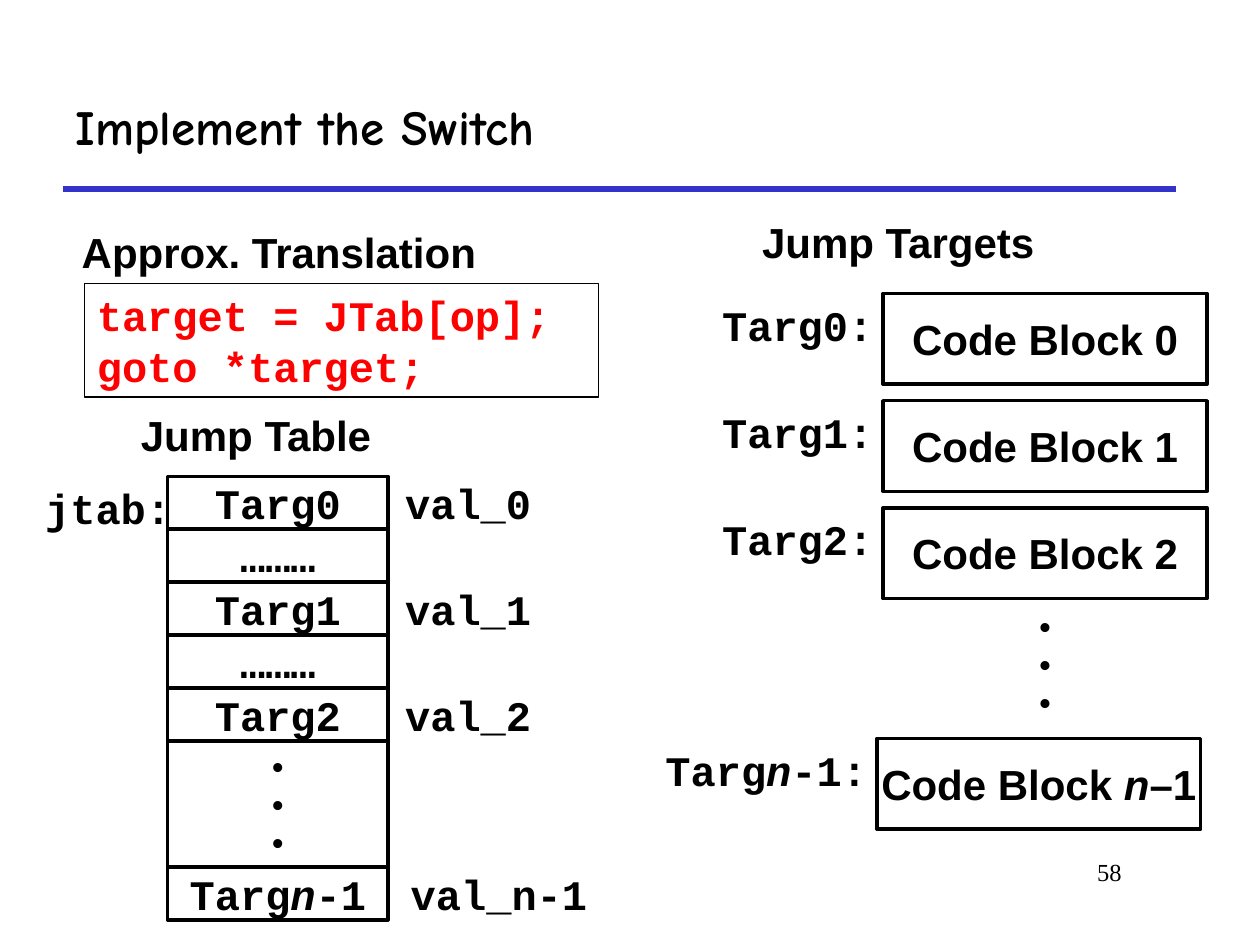
from dataclasses import dataclass

from lxml import etree
from pptx import Presentation
from pptx import util as u
from pptx.dml.color import RGBColor
from pptx.enum import shapes, text
from pptx.oxml import ns


@dataclass(frozen=True)
class Theme:
    ink: RGBColor = RGBColor(0, 0, 0)
    paper: RGBColor = RGBColor(255, 255, 255)
    rule: RGBColor = RGBColor(0x33, 0x33, 0xCC)
    code: RGBColor = RGBColor(255, 0, 0)
    title_size: int = 28
    body_size: int = 24
    dot_size: int = 18
    number_size: int = 14
    title_font: str = "Comic Neue"
    sans: str = "Arial"
    mono: str = "Courier New"
    serif: str = "Times New Roman"


theme = Theme()
LEFT, CENTER, RIGHT = text.PP_ALIGN.LEFT, text.PP_ALIGN.CENTER, text.PP_ALIGN.RIGHT
DOTS = [("•",)] * 3


def write(shape, lines, align=LEFT, wrap=False, anchor=text.MSO_ANCHOR.TOP, **font):
    """Fill a shape with lines, each a tuple of runs whose odd items are italic."""
    frame = shape.text_frame
    frame.word_wrap = wrap
    frame.vertical_anchor = anchor
    style = {"name": theme.mono, "size": theme.body_size, "bold": True} | font
    color = style.pop("color", theme.ink)
    style["size"] = u.Pt(style["size"])
    for index, runs in enumerate(lines):
        paragraph = frame.add_paragraph() if index else frame.paragraphs[0]
        paragraph.alignment = align
        for position, words in enumerate(runs):
            run = paragraph.add_run()
            run.text = words
            for name, value in style.items():
                setattr(run.font, name, value)
            run.font.italic = position % 2 == 1
            run.font.color.rgb = color


def add_box(left, top, width, height, lines, line_width=2, fill=True, **format_values):
    box = slide.shapes.add_shape(
        shapes.MSO_SHAPE.RECTANGLE,
        u.Inches(left), u.Inches(top), u.Inches(width), u.Inches(height))
    box.shadow.inherit = False
    if fill:
        box.fill.solid()
        box.fill.fore_color.rgb = theme.paper
    else:
        box.fill.background()
    if line_width:
        box.line.color.rgb = theme.ink
        box.line.width = u.Pt(line_width)
    else:
        box.line.fill.background()
    write(box, lines, **format_values)


presentation = Presentation()
presentation.slide_width = u.Inches(10)
presentation.slide_height = u.Inches(7.5)
slide = presentation.slides.add_slide(presentation.slide_layouts[5])

# Title and rule
title = slide.shapes.title
title.left, title.top = u.Inches(0.5), u.Inches(0.5)
title.width, title.height = u.Inches(8.83), u.Inches(1)
write(title, [("Implement the Switch",)], wrap=True, anchor=text.MSO_ANCHOR.MIDDLE,
      name=theme.title_font, size=theme.title_size)

rule = slide.shapes.add_connector(
    shapes.MSO_CONNECTOR.STRAIGHT,
    u.Inches(0.5), u.Inches(1.5), u.Inches(9.33), u.Inches(1.5))
rule.line.color.rgb = theme.rule
rule.line.width = u.Pt(3)
etree.SubElement(rule.element.spPr, ns.qn("a:effectLst"))

# Approximate translation
add_box(0.67, 2.25, 4.08, 0.9, [("target = JTab[op];",), ("goto *target;",)],
        line_width=1, fill=False, wrap=True, color=theme.code)

centered = {"align": CENTER, "anchor": text.MSO_ANCHOR.MIDDLE}

# Jump targets: each code block with the label to its left
target_top, target_step, block_width, block_height = 2.33, 0.85, 2.57, 0.72
targets = [(7.01, target_top + n * target_step, 1.4, (f"Targ{n}:",), (f"Code Block {n}",))
           for n in range(3)]
targets.append((6.96, 5.86, 1.8, ("Targ", "n", "-1:"), ("Code Block ", "n", "–1")))
labels = []
for left, top, label_width, label, block in targets:
    add_box(left, top, block_width, block_height, [block], name=theme.sans, **centered)
    labels.append((left + 0.02 - label_width, top, label_width, label, {"align": RIGHT}))
add_box(7.01, target_top + 3 * target_step, block_width, 0.78, DOTS,
        line_width=0, size=theme.dot_size, **centered)

# Jump table: stacked rows, with the matching value to the right
row_height = 0.42
top = 3.78
value = {"align": CENTER, "wrap": True}
rows = [
    (("Targ0",), "val_0"),
    (("………",), None),
    (("Targ1",), "val_1"),
    (("………",), None),
    (("Targ2",), "val_2"),
    (None, None),
    (("Targ", "n", "-1"), "val_n-1"),
]
for entry, value_name in rows:
    if entry:
        height, lines, size = row_height, [entry], theme.body_size
    else:
        height, lines, size = 1, DOTS, theme.dot_size
    add_box(1.33, top, 1.75, height, lines, size=size, **centered)
    if value_name:
        width = 1.7 if value_name == "val_n-1" else 1.21
        labels.append((3.11, top - 0.04, width, (value_name,), value))
    top += height

# Headings, labels and slide number
heading = {"name": theme.sans}
labels += [
    (0.55, 1.75, 3.35, ("Approx. Translation",), heading),
    (5.95, 1.67, 2.38, ("Jump Targets",), heading),
    (1.02, 3.2, 2.05, ("Jump Table",), heading),
    (0.26, 3.78, 1.2, ("jtab:",), {}),
    (7.58, 6.75, 1.42, ("58",), {"align": RIGHT, "wrap": True, "name": theme.serif,
                                 "size": theme.number_size, "bold": False}),
]
for left, top, width, runs, format_values in labels:
    label = slide.shapes.add_textbox(
        u.Inches(left), u.Inches(top), u.Inches(width), u.Inches(0.5))
    write(label, [runs], **format_values)

presentation.save("out.pptx")
